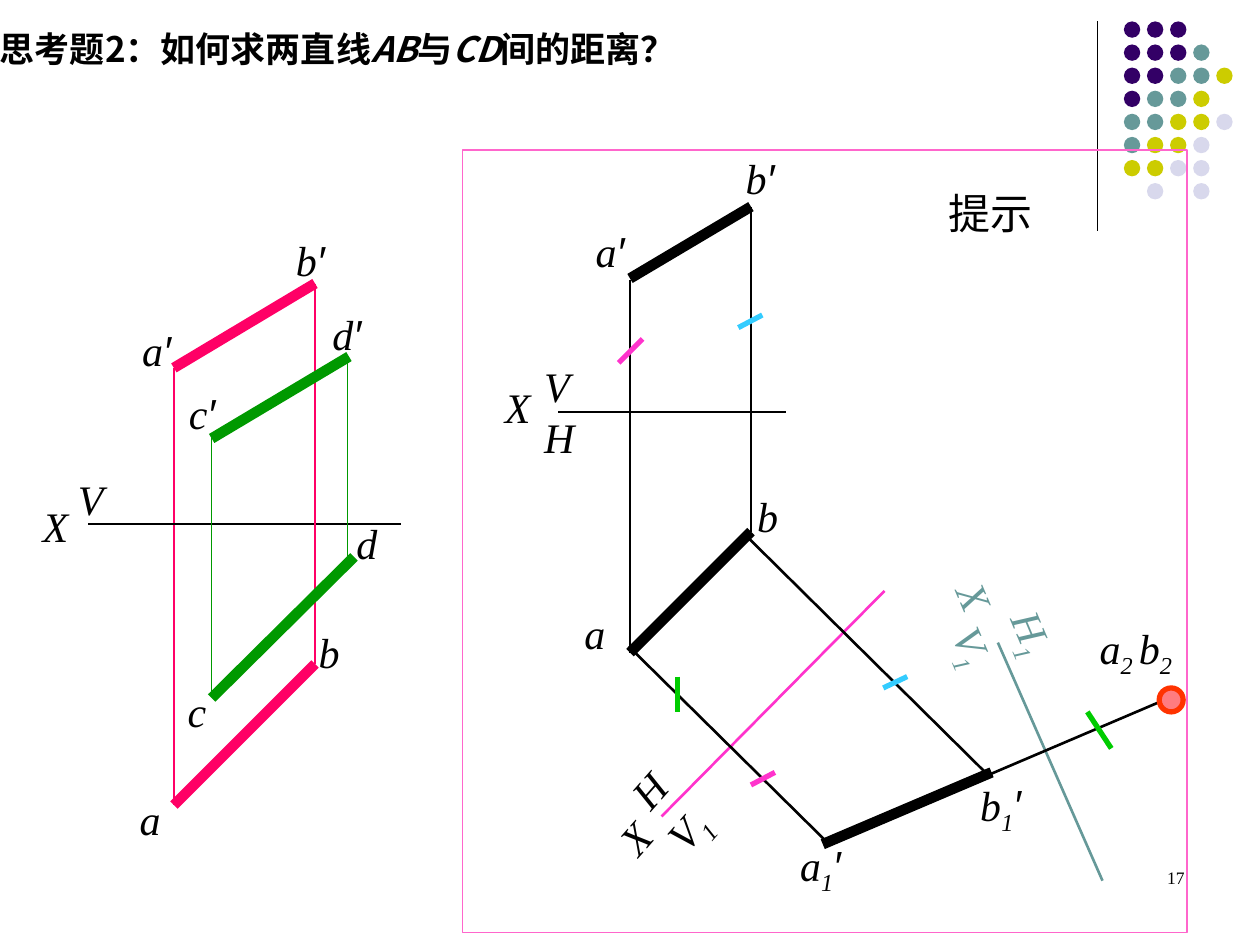
import lxml.etree
import pptx
import pptx.dml.color
import pptx.enum.shapes
import pptx.enum.text
import pptx.oxml.ns
import pptx.util

Inches = pptx.util.Inches
Pt = pptx.util.Pt
RGBColor = pptx.dml.color.RGBColor
SHAPE = pptx.enum.shapes.MSO_SHAPE
qn = pptx.oxml.ns.qn

BLACK = RGBColor(0x00, 0x00, 0x00)
PURPLE = RGBColor(0x33, 0x00, 0x66)
TEAL = RGBColor(0x66, 0x99, 0x99)
OLIVE = RGBColor(0xCC, 0xCC, 0x00)
LAVENDER = RGBColor(0xD8, 0xD8, 0xEC)
CRIMSON = RGBColor(0xFF, 0x00, 0x66)
GREEN = RGBColor(0x00, 0x99, 0x00)
MAGENTA = RGBColor(0xFF, 0x33, 0xCC)
SKY = RGBColor(0x33, 0xCC, 0xFF)
LIME = RGBColor(0x00, 0xCC, 0x00)
PINK = RGBColor(0xFF, 0x66, 0xCC)
CORAL = RGBColor(0xFF, 0x7C, 0x80)
ORANGE = RGBColor(0xFF, 0x33, 0x00)

SERIF = "Times New Roman"
SANS = "Noto Sans CJK SC"

deck = pptx.Presentation()
deck.slide_width = Inches(10)
deck.slide_height = Inches(7.5)
page = deck.slides.add_slide(deck.slide_layouts[6])


def add_ellipse(left, top, size, color):
    ellipse = page.shapes.add_shape(
        SHAPE.OVAL, Inches(left), Inches(top), Inches(size), Inches(size))
    ellipse.shadow.inherit = False
    ellipse.fill.solid()
    ellipse.fill.fore_color.rgb = color
    ellipse.line.fill.background()
    return ellipse


def add_text(left, top, width, height, parts, size, font, color):
    box = page.shapes.add_textbox(
        Inches(left), Inches(top), Inches(width), Inches(height))
    box.text_frame.word_wrap = True
    para = box.text_frame.paragraphs[0]
    for part in parts:
        span = para.add_run()
        span.text = part
        span.font.size = Pt(size)
        span.font.name = font
        span.font.color.rgb = color
    return box


dot_colors = {"P": PURPLE, "T": TEAL, "O": OLIVE, "L": LAVENDER}
dot_rows = ["PPP", "PPPT", "PPTTO", "PTTO", "TTOOL", "TOOL", "OOLL", " L L"]
dot_step = 0.55 / 3
for row, dots in enumerate(dot_rows):
    for column, dot in enumerate(dots):
        if dot in dot_colors:
            add_ellipse(8.92 + column * dot_step, 0.17 + row * dot_step,
                        0.13, dot_colors[dot])

lines = [
    (8.71, 0.17, 8.71, 1.83, BLACK, 0.75),
    (1.38, 2.92, 1.38, 6.39, CRIMSON, 0.75),
    (0.7, 4.16, 3.18, 4.16, BLACK, 1.5),
    (1.38, 2.92, 2.5, 2.25, CRIMSON, 6),
    (1.38, 6.39, 2.5, 5.27, CRIMSON, 6),
    (2.5, 5.27, 2.5, 2.25, CRIMSON, 0.75),
    (1.68, 5.54, 2.81, 4.42, GREEN, 6),
    (1.68, 3.48, 2.77, 2.83, GREEN, 6),
    (1.68, 5.5, 1.68, 3.45, GREEN, 0.75),
    (2.76, 2.83, 2.76, 4.42, GREEN, 0.75),
    (7.92, 5.1, 8.75, 6.99, TEAL, 1.5),
    (5, 2.22, 5, 5.18, BLACK, 1.5),
    (4.43, 3.27, 6.24, 3.27, BLACK, 1.5),
    (5, 2.21, 5.96, 1.64, BLACK, 6),
    (5, 5.18, 5.96, 4.22, BLACK, 6),
    (5.96, 4.22, 5.96, 1.64, BLACK, 0.75),
    (7.87, 6.14, 9.3, 5.53, BLACK, 1.5),
    (5.25, 6.48, 7.02, 4.69, MAGENTA, 1.5),
    (4.99, 5.13, 6.56, 6.68, BLACK, 1.5),
    (5.94, 4.27, 7.83, 6.14, BLACK, 1.5),
    (7.87, 6.13, 6.53, 6.7, BLACK, 6),
    (6.15, 6.13, 5.96, 6.23, MAGENTA, 3),
    (5.1, 2.69, 4.91, 2.88, MAGENTA, 3),
    (5.86, 2.6, 6.05, 2.5, SKY, 3),
    (7.01, 5.46, 7.2, 5.37, SKY, 3),
    (5.38, 5.37, 5.38, 5.65, LIME, 3),
    (8.63, 5.65, 8.82, 5.94, LIME, 3),
]
for x1, y1, x2, y2, color, weight in lines:
    line = page.shapes.add_connector(
        pptx.enum.shapes.MSO_CONNECTOR.STRAIGHT,
        Inches(x1), Inches(y1), Inches(x2), Inches(y2))
    line.line.color.rgb = color
    line.line.width = Pt(weight)
    lxml.etree.SubElement(line._element.spPr, qn("a:effectLst"))

point = add_ellipse(9.2, 5.46, 0.19, CORAL)
point.line.color.rgb = ORANGE
point.line.width = Pt(3)

frame = page.shapes.add_shape(
    SHAPE.RECTANGLE, Inches(3.67), Inches(1.19), Inches(5.75), Inches(6.21))
frame.shadow.inherit = False
frame.fill.background()
frame.line.color.rgb = PINK
frame.line.width = Pt(0.75)

labels = [
    (1.03, 2.53, 0.94, "a|′", 0, BLACK),
    (1.01, 6.25, 1.07, "a", 0, BLACK),
    (0.24, 3.92, 0.79, "X", 0, BLACK),
    (0.52, 3.71, 0.56, "V", 0, BLACK),
    (2.25, 1.81, 0.94, "b|′", 0, BLACK),
    (2.43, 4.92, 0.67, "b", 0, BLACK),
    (1.39, 5.39, 0.99, "c", 0, BLACK),
    (2.73, 4.06, 0.67, "d", 0, BLACK),
    (1.4, 3.03, 0.94, "c|′", 0, BLACK),
    (2.54, 2.4, 0.94, "d|′", 0, BLACK),
    (7.46, 4.61, 0.67, "X", 67.1, TEAL),
    (7.84, 4.86, 0.76, "H|1", 67.1, TEAL),
    (7.34, 5.03, 0.87, "V|1", 67.1, TEAL),
    (4.63, 1.74, 0.8, "a|′", 0, BLACK),
    (4.54, 4.77, 0.91, "a", 0, BLACK),
    (3.91, 2.98, 0.67, "X", 0, BLACK),
    (4.22, 2.81, 0.48, "V", 0, BLACK),
    (4.22, 3.22, 0.57, "H", 0, BLACK),
    (5.82, 1.16, 0.8, "b|′", 0, BLACK),
    (5.91, 3.84, 0.91, "b", 0, BLACK),
    (8.63, 4.89, 1.34, "a|2 |b|2", 0, BLACK),
    (4.79, 6.3, 0.67, "X", 311.3, BLACK),
    (4.9, 5.96, 0.59, "H", 311.3, BLACK),
    (5.15, 6.16, 0.93, "V|1", 311.3, BLACK),
    (6.25, 6.61, 0.96, "a|1|′", 359.4, BLACK),
    (7.68, 6.13, 0.95, "b|1|′", 359.4, BLACK),
]
for left, top, width, label, angle, color in labels:
    height = 0.56 if "1" in label or "2" in label else 0.5
    box = add_text(left, top, width, height, label.split("|"), 24, SERIF, color)
    box.rotation = angle
    for span in box.text_frame.paragraphs[0].runs:
        span.font.italic = True
        if span.text == "′":
            span.font.name = "Arial"
        elif span.text.strip().isdigit():
            span._r.get_or_add_rPr().set("baseline", "-25000")

add_text(7.43, 1.44, 0.96, 0.5, ["提示"], 24, SERIF, BLACK)

title_parts = ["思考题2：如何求两直线", "AB", "与", "CD", "间的距离？"]
title = add_text(-0.1, 0.17, 5.89, 0.44, title_parts, 20, SANS, BLACK)
for span in title.text_frame.paragraphs[0].runs:
    span.font.bold = True
    span.font.italic = span.text in ("AB", "CD")
    east_asian = lxml.etree.SubElement(span._r.get_or_add_rPr(), qn("a:ea"))
    east_asian.set("typeface", SANS)

number = add_text(7.17, 6.83, 2.33, 0.5, ["17"], 10, SERIF, BLACK)
number.text_frame.paragraphs[0].alignment = pptx.enum.text.PP_ALIGN.RIGHT

deck.save("out.pptx")
